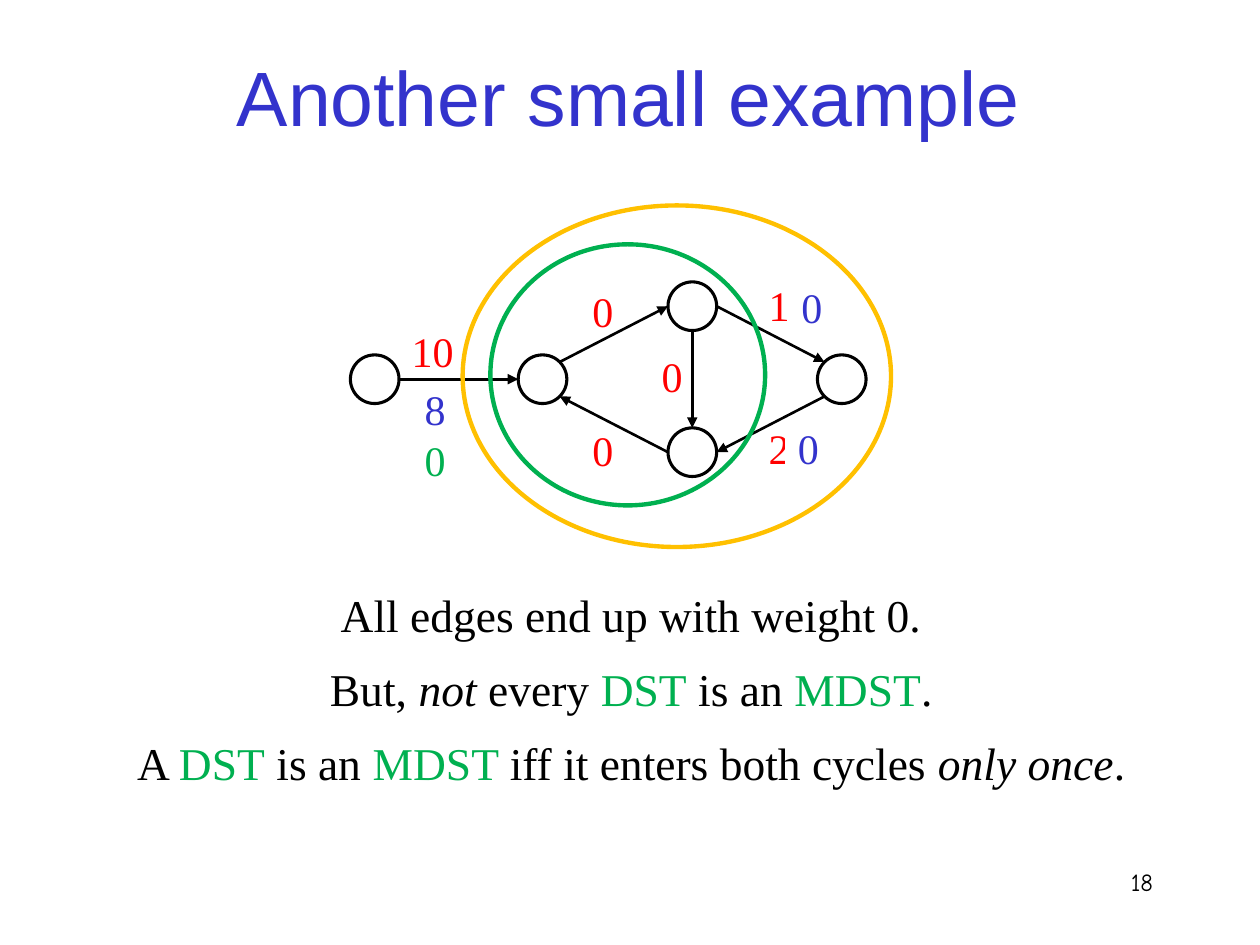
import dataclasses

import lxml.etree
import pptx
import pptx.dml.color
import pptx.enum.shapes
import pptx.enum.text
import pptx.oxml.ns
import pptx.util

Pt = pptx.util.Pt
Kind = pptx.enum.shapes.MSO_SHAPE
Align = pptx.enum.text.PP_ALIGN
Anchor = pptx.enum.text.MSO_ANCHOR

BLACK, WHITE, RED = "000000", "FFFFFF", "FF0000"
BLUE, GREEN, GOLD = "3333CC", "00B050", "FFC000"
SERIF = "Times New Roman"
RADIUS = 13.9
DIAG = 0.707  # offset of a node's corner point, in radii


@dataclasses.dataclass
class Label:
    text: str
    left: float
    top: float
    color: str = RED


@dataclasses.dataclass
class Edge:
    """Joins two nodes; each side is an offset from the centre in radii."""
    tail: str
    out: tuple[float, float]
    head: str
    into: tuple[float, float]


@dataclasses.dataclass
class Ring:
    left: float
    top: float
    width: float
    height: float
    color: str


@dataclasses.dataclass
class Run:
    text: str
    color: str = BLACK
    italic: bool = False


NODES = {
    "root": (214.1, 216.7),
    "left": (310, 216.7),
    "top": (395.6, 175),
    "low": (395.6, 258.4),
    "right": (481, 216.7),
}
EDGES = [
    Edge("root", (1, 0), "left", (-1, 0)),
    Edge("left", (DIAG, -DIAG), "top", (-1, 0)),
    Edge("top", (0, 1), "low", (0, -1)),
    Edge("low", (-1, 0), "left", (DIAG, DIAG)),
    Edge("top", (1, 0), "right", (-DIAG, -DIAG)),
    Edge("right", (-DIAG, DIAG), "low", (1, 0)),
]
RINGS = [
    Ring(280.2, 139.6, 157, 149.2, GREEN),
    Ring(264.4, 117.4, 244.8, 195.2, GOLD),
]
BACK = [
    Label("0", 450.7, 160.6, BLUE),
    Label("0", 370.8, 200.2),
    Label("0", 331.2, 242.6),
    Label("0", 331.2, 163.4),
    Label("2", 432, 241.2),
    Label("1", 432, 159.8),
]
FRONT = [
    Label("10", 234, 185.8),
    Label("0", 448.6, 241.2, BLUE),
    Label("8", 235.4, 218.9, BLUE),
    Label("0", 235.4, 248.4, GREEN),
]
LINES = [
    [Run("All edges end up with weight 0.")],
    [Run("But, "), Run("not", italic=True), Run(" every "), Run("DST", GREEN),
     Run(" is an "), Run("MDST", GREEN), Run(".")],
    [Run("A "), Run("DST", GREEN), Run(" is an "), Run("MDST ", GREEN),
     Run("iff it enters both cycles "), Run("only once", italic=True), Run(".")],
]


def rgb(code: str) -> pptx.dml.color.RGBColor:
    return pptx.dml.color.RGBColor.from_string(code)


def style(para, size: float, face: str, color: str, align) -> None:
    para.alignment = align
    para.font.size = Pt(size)
    para.font.name = face
    para.font.color.rgb = rgb(color)


def add_label(slide, label: Label) -> None:
    box = slide.shapes.add_shape(
        Kind.RECTANGLE, Pt(label.left), Pt(label.top), Pt(26.6), Pt(28.8))
    box.shadow.inherit = False
    box.fill.solid()
    box.fill.fore_color.rgb = rgb(WHITE)
    box.line.fill.background()
    frame = box.text_frame
    frame.margin_left = frame.margin_right = 0
    frame.margin_top = frame.margin_bottom = 0
    frame.vertical_anchor = Anchor.MIDDLE
    frame.text = label.text
    style(frame.paragraphs[0], 24, SERIF, label.color, Align.CENTER)


def add_ring(slide, ring: Ring, weight: float) -> None:
    oval = slide.shapes.add_shape(
        Kind.OVAL, Pt(ring.left), Pt(ring.top), Pt(ring.width), Pt(ring.height))
    oval.shadow.inherit = False
    oval.fill.background()
    oval.line.color.rgb = rgb(ring.color)
    oval.line.width = Pt(weight)


def site(node: str, side: tuple[float, float]) -> list[pptx.util.Length]:
    """Point on a node's outline."""
    return [Pt(mid + RADIUS * part) for mid, part in zip(NODES[node], side)]


def add_edge(slide, edge: Edge) -> None:
    line = slide.shapes.add_connector(
        pptx.enum.shapes.MSO_CONNECTOR.STRAIGHT,
        *site(edge.tail, edge.out), *site(edge.head, edge.into))
    line.line.color.rgb = rgb(BLACK)
    line.line.width = Pt(1.5)
    qn = pptx.oxml.ns.qn
    tip = lxml.etree.SubElement(line.line._get_or_add_ln(), qn("a:tailEnd"))
    tip.set("type", "triangle")
    lxml.etree.SubElement(line._element.spPr, qn("a:effectLst"))


def add_text(slide, left: float, top: float, width: float, height: float):
    """Adds a wrapping text box and returns its first paragraph."""
    box = slide.shapes.add_textbox(Pt(left), Pt(top), Pt(width), Pt(height))
    box.text_frame.word_wrap = True
    return box.text_frame.paragraphs[0]


def add_line(slide, top: float, runs: list[Run]) -> None:
    para = add_text(slide, 0.7, top, 720, 38.9)
    style(para, 26, SERIF, BLACK, Align.CENTER)
    for part in runs:
        run = para.add_run()
        run.text = part.text
        if part.color != BLACK:
            run.font.color.rgb = rgb(part.color)
        if part.italic:
            run.font.italic = True


def set_title(slide, text: str) -> None:
    title = slide.shapes.title
    title.left, title.top = Pt(-0.7), Pt(24.5)
    title.width, title.height = Pt(720), Pt(60.5)
    title.text_frame.text = text
    style(title.text_frame.paragraphs[0], 44, "Arial", BLUE, Align.CENTER)


def main() -> None:
    deck = pptx.Presentation()
    deck.slide_width, deck.slide_height = Pt(720), Pt(540)
    slide = deck.slides.add_slide(deck.slide_layouts[5])
    set_title(slide, "Another small example")
    for label in BACK:
        add_label(slide, label)
    size = 2 * RADIUS
    for x, y in NODES.values():
        add_ring(slide, Ring(x - RADIUS, y - RADIUS, size, size, BLACK), 1.75)
    for edge in EDGES:
        add_edge(slide, edge)
    for ring in RINGS:
        add_ring(slide, ring, 2.5)
    for label in FRONT:
        add_label(slide, label)
    for row, runs in enumerate(LINES):
        add_line(slide, 332 + 42.2 * row, runs)
    number = add_text(slide, 516.2, 491.8, 149.8, 36)
    number.text = "18"
    style(number, 14, "Comic Neue", BLACK, Align.RIGHT)
    deck.save("out.pptx")


if __name__ == "__main__":
    main()
